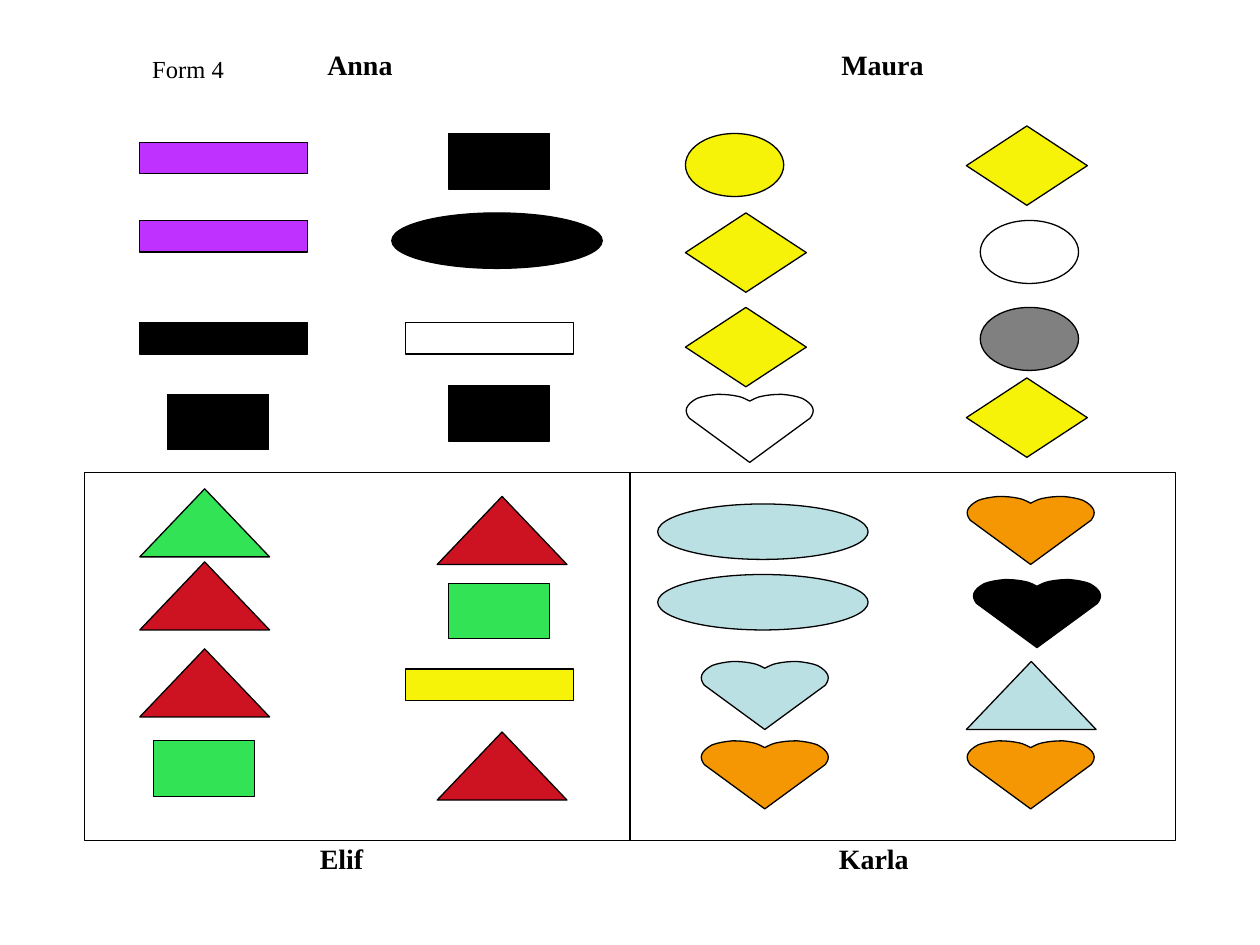
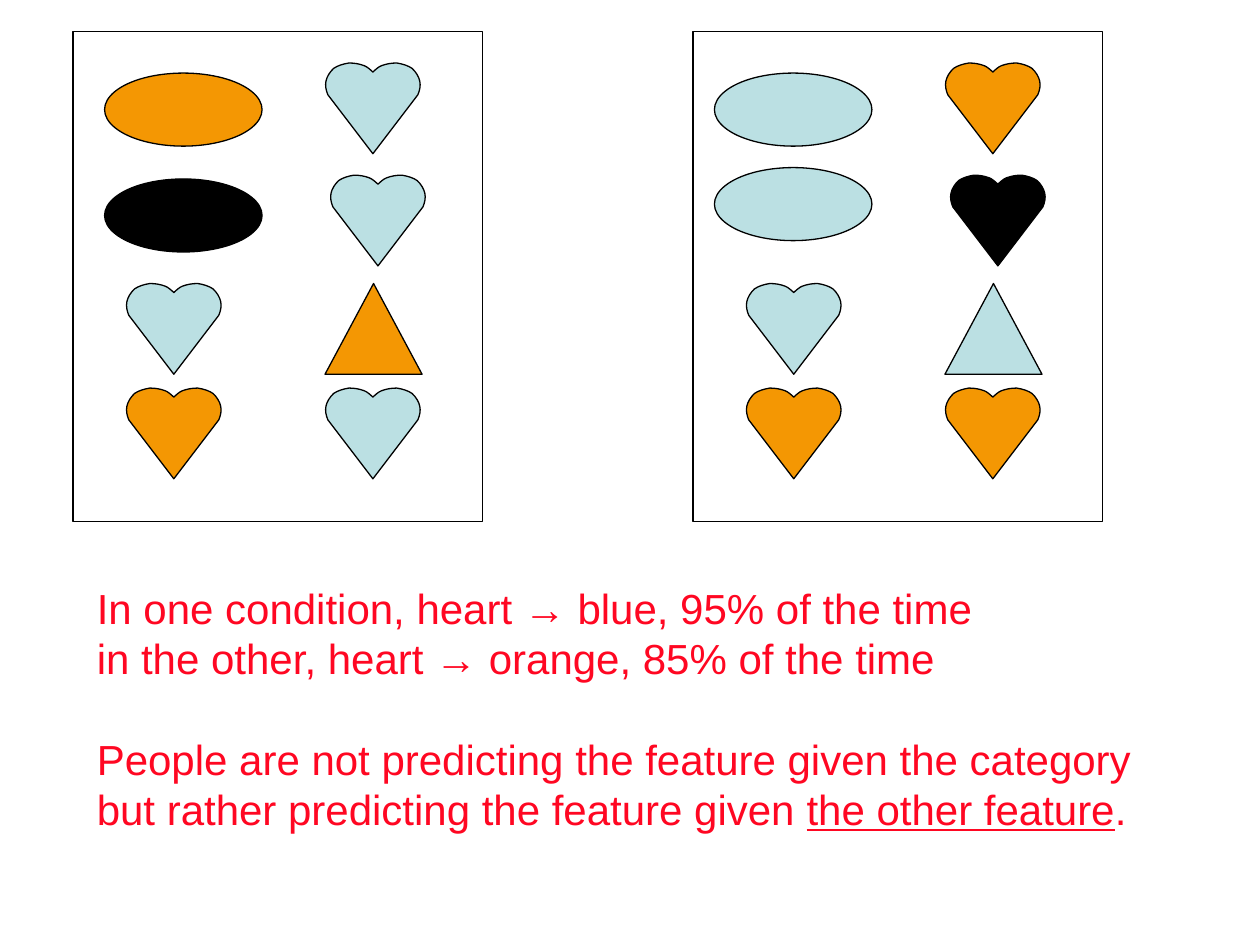
from lxml import etree
from pptx import Presentation
from pptx.dml.color import RGBColor
from pptx.enum.shapes import MSO_SHAPE
from pptx.enum.text import MSO_ANCHOR
from pptx.oxml.ns import qn
from pptx.util import Inches, Pt

COLORS = {
    "black": "000000", "grey": "808080", "yellow": "F6F309", "purple": "BF31FF",
    "green": "32E355", "red": "CD1322", "blue": "BBE0E3", "orange": "F49703",
    "statement": "FF0722",
}
PRESETS = {
    "frame": MSO_SHAPE.RECTANGLE, "bar": MSO_SHAPE.RECTANGLE,
    "block": MSO_SHAPE.RECTANGLE, "diamond": MSO_SHAPE.DIAMOND,
    "oval": MSO_SHAPE.OVAL, "ellipse": MSO_SHAPE.OVAL,
    "triangle": MSO_SHAPE.ISOSCELES_TRIANGLE,
}
FORM_SIZES = {
    "frame": (4.33, 2.92), "bar": (1.33, 0.25), "block": (0.8, 0.44),
    "diamond": (0.96, 0.63), "oval": (0.78, 0.5), "ellipse": (1.67, 0.44),
    "triangle": (1.03, 0.54), "heart": (1.02, 0.54),
}
CARD_SIZES = {
    "frame": (3.25, 3.89), "ellipse": (1.25, 0.58),
    "triangle": (0.77, 0.72), "heart": (0.76, 0.72),
}

# Left half of a unit heart: the notch, then three Bezier points for each curve
HEART_LEFT = [
    (0.5, 0.1),
    (0.48, 0.08), (0.44, 0.04), (0.41, 0.03),
    (0.36, 0.01), (0.31, 0), (0.25, 0),
    (0.19, 0.01), (0.13, 0.03), (0.09, 0.06),
    (0.05, 0.1), (0.02, 0.15), (0.01, 0.2),
    (0, 0.25), (0.01, 0.3), (0.03, 0.35),
]
HEART_RIGHT = [(1 - x, y) for x, y in reversed(HEART_LEFT)]
HEART_OUTLINE = HEART_LEFT + [(0.5, 1)] + HEART_RIGHT

# Each figure: kind, colour (None leaves it open), left, top
ANNA = [
    ("bar", "purple", 1.11, 1.13), ("bar", "purple", 1.11, 1.75),
    ("bar", "black", 1.11, 2.56), ("block", "black", 1.33, 3.13),
    ("block", "black", 3.56, 1.06), ("ellipse", "black", 3.11, 1.69),
    ("bar", None, 3.22, 2.56), ("block", "black", 3.56, 3.06),
]
MAURA = [
    ("oval", "yellow", 5.44, 1.06), ("diamond", "yellow", 5.44, 1.69),
    ("diamond", "yellow", 5.44, 2.44), ("heart", None, 5.44, 3.13),
    ("diamond", "yellow", 7.67, 1), ("oval", None, 7.78, 1.75),
    ("oval", "grey", 7.78, 2.44), ("diamond", "yellow", 7.67, 3),
]
ELIF = [
    ("frame", None, 0.67, 3.75),
    ("triangle", "green", 1.11, 3.88), ("triangle", "red", 1.11, 4.46),
    ("triangle", "red", 1.11, 5.15), ("block", "green", 1.22, 5.88),
    ("triangle", "red", 3.47, 3.94), ("block", "green", 3.56, 4.63),
    ("bar", "yellow", 3.22, 5.31), ("triangle", "red", 3.47, 5.81),
]
KARLA = [
    ("frame", None, 5, 3.75),
    ("ellipse", "blue", 5.22, 4), ("ellipse", "blue", 5.22, 4.56),
    ("heart", "blue", 5.56, 5.25), ("heart", "orange", 5.56, 5.88),
    ("heart", "orange", 7.67, 3.94), ("heart", "black", 7.72, 4.6),
    ("triangle", "blue", 7.67, 5.25), ("heart", "orange", 7.67, 5.88),
]
# Each label: text, left, top, width, height, size, bold
LABELS = [
    ("Form 4", 1.11, 0.38, 8.22, 0.34, 14, False),
    ("Anna", 2.5, 0.33, 1.33, 0.37, 16, True),
    ("Maura", 6.58, 0.33, 1.67, 0.37, 16, True),
    ("Elif", 2.44, 6.63, 1.67, 0.37, 16, True),
    ("Karla", 6.56, 6.63, 1.78, 0.37, 16, True),
]
CONDITIONS = [
    "In one condition, heart → blue, 95% of the time",
    "in the other, heart → orange, 85% of the time",
]
CONCLUSION = [
    ("People are not predicting the feature given the category "
     "but rather predicting the feature given ", False),
    ("the other feature", True),
    (".", False),
]
STATEMENT_LINE = Pt(28.8)


def rgb(color):
    return RGBColor.from_string(COLORS[color])


def merge_into_curves(segments):
    """Turn each three line segments into one cubic Bezier curve."""
    for first in range(0, len(segments), 3):
        curve = etree.Element(qn("a:cubicBezTo"))
        segments[first].addprevious(curve)
        for segment in segments[first:first + 3]:
            curve.append(segment[0])
            segment.getparent().remove(segment)


def add_heart(slide, left, top, width, height):
    outline = [(Inches(left + x * width), Inches(top + y * height))
               for x, y in HEART_OUTLINE]
    builder = slide.shapes.build_freeform(*outline[0])
    builder.add_line_segments(outline[1:], close=False)
    heart = builder.convert_to_shape()
    segments = list(heart.element.iter(qn("a:lnTo")))
    etree.SubElement(segments[0].getparent(), qn("a:close"))
    curved = len(HEART_LEFT) - 1
    merge_into_curves(segments[:curved])
    merge_into_curves(segments[-curved:])
    return heart


def add_figure(slide, sizes, kind, color, left, top):
    width, height = sizes[kind]
    if kind == "heart":
        figure = add_heart(slide, left, top, width, height)
    else:
        figure = slide.shapes.add_shape(
            PRESETS[kind], Inches(left), Inches(top), Inches(width), Inches(height))
    figure.shadow.inherit = False
    figure.line.color.rgb = rgb("black")
    figure.line.width = Pt(0.75)
    if color:
        figure.fill.solid()
        figure.fill.fore_color.rgb = rgb(color)
    else:
        figure.fill.background()


def add_text_frame(slide, left, top, width, height):
    frame = slide.shapes.add_textbox(
        Inches(left), Inches(top), Inches(width), Inches(height)).text_frame
    frame.word_wrap = True
    return frame


def add_run(paragraph, text, font, size, color, bold=False, underline=False):
    run = paragraph.add_run()
    run.text = text
    run.font.name = font
    run.font.size = Pt(size)
    run.font.bold = bold
    run.font.underline = underline
    run.font.color.rgb = rgb(color)


def add_label(slide, text, left, top, width, height, size, bold):
    frame = add_text_frame(slide, left, top, width, height)
    add_run(frame.paragraphs[0], text, "Times New Roman", size, "black", bold)


def add_card(slide, left, ellipse_left, second_ellipse_top, ellipses, left_hearts,
             right_hearts, triangle):
    """Framed card of eight figures; colours are listed from top to bottom."""
    left_column, right_column = left + 0.42, left + 2
    top_heart, shifted_heart, bottom_heart = right_hearts
    figures = [
        ("frame", None, left, 0.25),
        ("triangle", triangle, right_column, 2.25),
        ("heart", left_hearts[0], left_column, 2.25),
        ("heart", left_hearts[1], left_column, 3.08),
        ("heart", shifted_heart, right_column + 0.04, 1.39),
        ("heart", bottom_heart, right_column, 3.08),
        ("heart", top_heart, right_column, 0.5),
        ("ellipse", ellipses[0], ellipse_left, 0.58),
        ("ellipse", ellipses[1], ellipse_left, second_ellipse_top),
    ]
    for figure in figures:
        add_figure(slide, CARD_SIZES, *figure)


def add_statement(slide):
    frame = add_text_frame(slide, 0.67, 4.58, 8.5, 2.08)
    frame.vertical_anchor = MSO_ANCHOR.MIDDLE
    conditions, conclusion = frame.paragraphs[0], frame.add_paragraph()
    conditions.line_spacing = conclusion.line_spacing = STATEMENT_LINE
    conclusion.space_before = STATEMENT_LINE
    for index, condition in enumerate(CONDITIONS):
        if index:
            conditions.add_line_break()
        add_run(conditions, condition, "Arial", 24, "statement")
    for text, underline in CONCLUSION:
        add_run(conclusion, text, "Arial", 24, "statement", underline=underline)


def build_form(slide):
    for figure in ANNA + MAURA + ELIF + KARLA:
        add_figure(slide, FORM_SIZES, *figure)
    for label in LABELS:
        add_label(slide, *label)


def build_conditions(slide):
    add_statement(slide)
    add_card(slide, 0.58, 0.83, 1.42, ("orange", "black"), ("blue", "orange"),
             ("blue", "blue", "blue"), "orange")
    add_card(slide, 5.5, 5.67, 1.33, ("blue", "blue"), ("blue", "orange"),
             ("orange", "black", "orange"), "blue")


def main():
    presentation = Presentation()
    presentation.slide_width = Inches(10)
    presentation.slide_height = Inches(7.5)
    blank = presentation.slide_layouts[6]
    for build in (build_form, build_conditions):
        build(presentation.slides.add_slide(blank))
    presentation.save("out.pptx")


if __name__ == "__main__":
    main()
